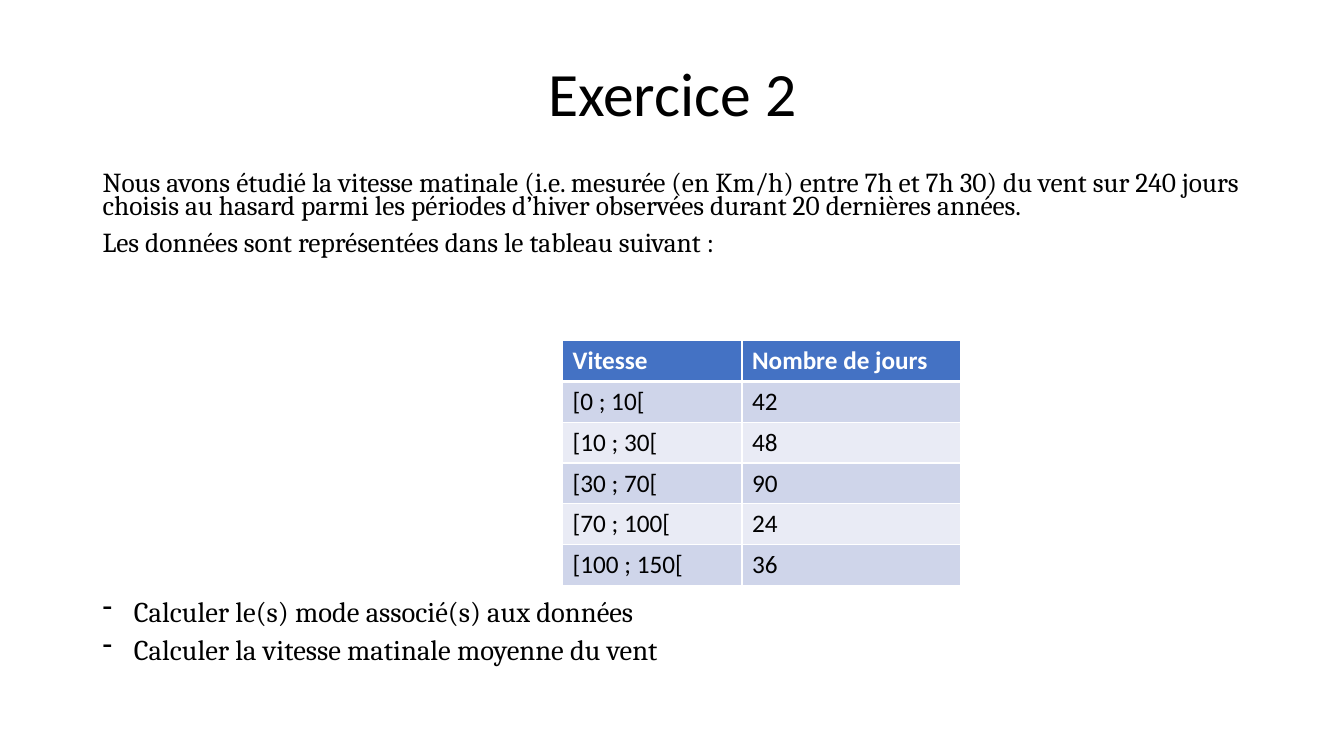
from lxml.etree import SubElement
from pptx import Presentation
from pptx.dml.color import RGBColor
from pptx.enum.text import MSO_ANCHOR as ANCHOR, PP_ALIGN as ALIGN
from pptx.oxml.ns import qn
from pptx.util import Inches, Pt

COLORS = {
    "text": "000000",
    "white": "FFFFFF",
    "header": "4472C4",
    "band_dark": "CFD5EA",
    "band_light": "E9EBF5",
}

INTRO = [
    "Nous avons étudié la vitesse matinale (i.e. mesurée (en Km/h) entre 7h et 7h 30) "
    "du vent sur 240 jours choisis au hasard parmi les périodes d’hiver observées "
    "durant 20 dernières années.",
    "Les données sont représentées dans le tableau suivant :",
]
TASKS = [
    "Calculer le(s) mode associé(s) aux données",
    "Calculer la vitesse matinale moyenne du vent",
]
WIND_SPEEDS = [
    ("Vitesse", "Nombre de jours"),
    ("[0 ; 10[", "42"),
    ("[10 ; 30[", "48"),
    ("[30 ; 70[", "90"),
    ("[70 ; 100[", "24"),
    ("[100 ; 150[", "36"),
]


def rgb(name):
    return RGBColor.from_string(COLORS[name])


class SlideBuilder:
    title_font = {"name": "Calibri", "size": Pt(44)}
    intro_font = {"name": "Cambria", "size": Pt(19.6)}
    task_font = {"name": "Cambria", "size": Pt(20.4)}
    cell_font = {"name": "Calibri", "size": Pt(18)}

    def __init__(self, prs):
        self.s = prs.slides.add_slide(prs.slide_layouts[6])

    def textbox(self, x, y, w, h, anchor=ANCHOR.TOP):
        sp = self.s.shapes.add_textbox(Inches(x), Inches(y), Inches(w), Inches(h))
        tf = sp.text_frame
        tf.word_wrap = True
        tf.vertical_anchor = anchor
        return tf

    def run(self, p, text, font, color="text", bold=False):
        r = p.add_run()
        r.text = text
        for key, value in {**font, "bold": bold}.items():
            setattr(r.font, key, value)
        r.font.color.rgb = rgb(color)

    def paragraph(self, tf, text, font, bullet=None, **fmt):
        p = tf.paragraphs[0] if not tf.paragraphs[0].runs else tf.add_paragraph()
        for key, value in fmt.items():
            setattr(p, key, value)
        if bullet:
            pPr = p._p.get_or_add_pPr()
            pPr.set("marL", str(Inches(0.31)))
            pPr.set("indent", str(-Inches(0.31)))
            SubElement(pPr, qn("a:buChar"), char=bullet)
        self.run(p, text, font)

    def borders(self, cell, bottom):
        tcPr = cell._tc.get_or_add_tcPr()
        widths = {"a:lnL": 1, "a:lnR": 1, "a:lnT": 1, "a:lnB": bottom}
        for i, (tag, width) in enumerate(widths.items()):
            ln = SubElement(tcPr, qn(tag), w=str(Pt(width)))
            fill = SubElement(ln, qn("a:solidFill"))
            SubElement(fill, qn("a:srgbClr"), val=COLORS["white"])
            tcPr.insert(i, ln)

    def table(self, rows, x, y, widths, height):
        tbl = self.s.shapes.add_table(
            len(rows), len(widths), Inches(x), Inches(y),
            Inches(sum(widths)), Inches(height)).table
        for col, width in zip(tbl.columns, widths):
            col.width = Inches(width)
        for i, row in enumerate(rows):
            head = i == 0
            band = "header" if head else "band_dark" if i % 2 else "band_light"
            for j, text in enumerate(row):
                cell = tbl.cell(i, j)
                cell.fill.solid()
                cell.fill.fore_color.rgb = rgb(band)
                self.borders(cell, bottom=3 if head else 1)
                self.run(cell.text_frame.paragraphs[0], text, self.cell_font,
                         "white" if head else "text", bold=head)


def main():
    prs = Presentation()
    prs.slide_width, prs.slide_height = Inches(13.33), Inches(7.5)
    b = SlideBuilder(prs)

    # Title
    tf = b.textbox(0.92, 0.23, 11.5, 1.45, ANCHOR.MIDDLE)
    b.paragraph(tf, "Exercice 2", b.title_font, alignment=ALIGN.CENTER, line_spacing=0.9)

    # Statement, then the questions below the room left for the table
    tf = b.textbox(0.92, 1.68, 11.5, 5.3)
    for text, gap in zip(INTRO, (0, 10)):
        b.paragraph(tf, text, b.intro_font, line_spacing=0.7, space_before=Pt(gap))
    for text, gap in zip(TASKS, (247, 10)):
        b.paragraph(tf, text, b.task_font, bullet="-", line_spacing=0.7,
                    space_before=Pt(gap))

    # Wind speed table
    b.table(WIND_SPEEDS, 5.58, 3.38, (1.78, 2.17), 2.43)

    prs.save("out.pptx")


if __name__ == "__main__":
    main()
